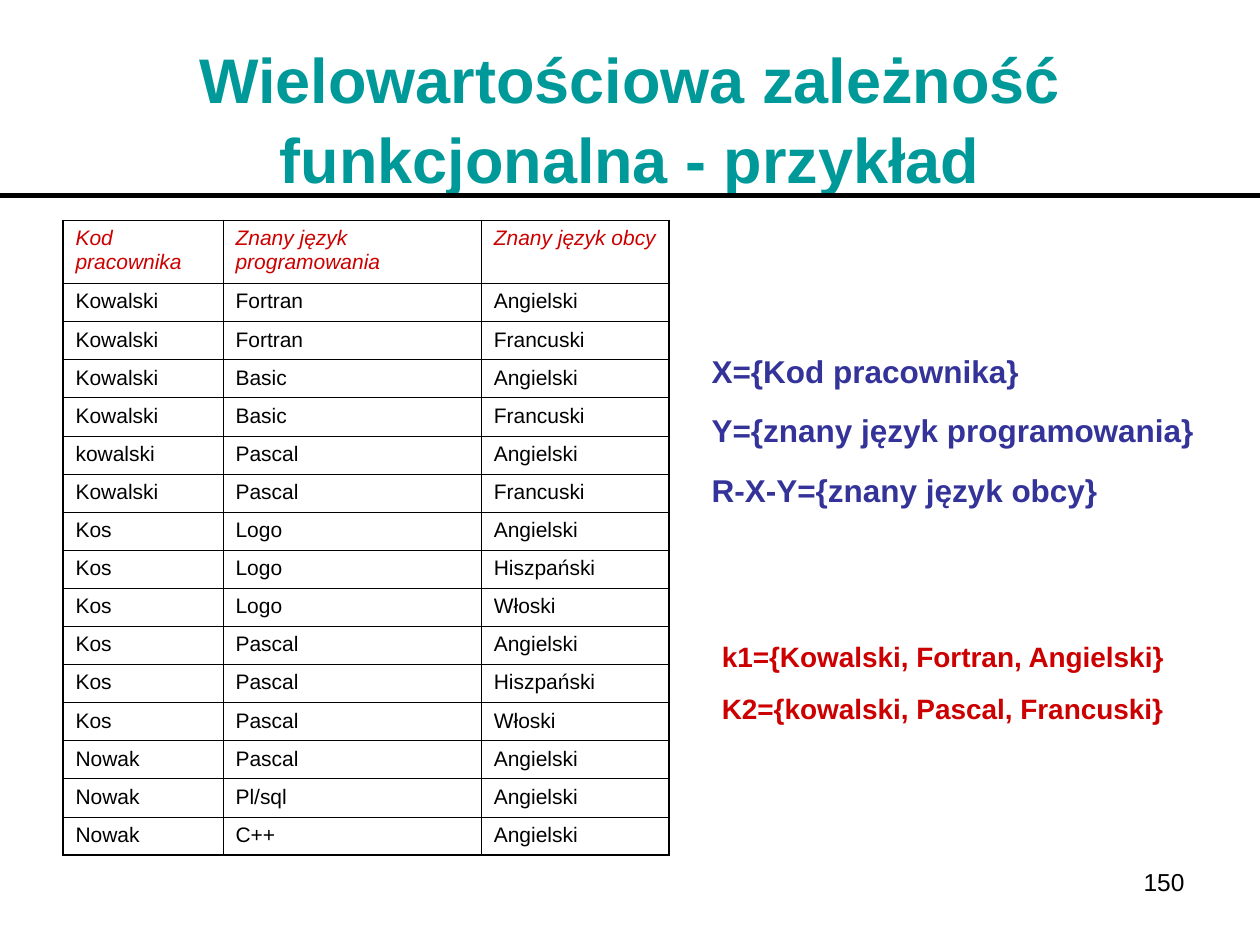
from dataclasses import dataclass

from lxml import etree
from pptx import Presentation
from pptx.dml.color import RGBColor
from pptx.enum.shapes import MSO_CONNECTOR
from pptx.enum.text import MSO_ANCHOR, PP_ALIGN
from pptx.oxml.ns import qn
from pptx.util import Inches, Pt

LEFT, CENTER, RIGHT = PP_ALIGN.LEFT, PP_ALIGN.CENTER, PP_ALIGN.RIGHT
TOP, MIDDLE = MSO_ANCHOR.TOP, MSO_ANCHOR.MIDDLE
STRAIGHT = MSO_CONNECTOR.STRAIGHT

TEAL = RGBColor(0x00, 0x99, 0x99)
RED = RGBColor(0xCC, 0x00, 0x00)
INDIGO = RGBColor(0x33, 0x33, 0x99)
BLACK = RGBColor(0x00, 0x00, 0x00)

FONT = "Arial"
OUTER, INNER = 1.08, 0.45  # table border widths in points


@dataclass
class TextBlock:
    left: float
    top: float
    width: float
    height: float
    lines: list[str]
    size: float
    color: RGBColor
    bold: bool = True
    align: PP_ALIGN = LEFT
    anchor: MSO_ANCHOR = TOP
    gap: float = 0
    spacing: float = 1.05


TITLE = TextBlock(0.5, 0.3, 9, 1.25,
                  ["Wielowartościowa zależność funkcjonalna - przykład"],
                  36, TEAL, align=CENTER, anchor=MIDDLE)
ATTRIBUTE_SETS = TextBlock(5.55, 2.73, 4.17, 1.32,
                           ["X={Kod pracownika}",
                            "Y={znany język programowania}",
                            "R-X-Y={znany język obcy}"],
                           18, INDIGO, gap=11.2)
TUPLES = TextBlock(5.63, 5.01, 4.02, 0.77,
                   ["k1={Kowalski, Fortran, Angielski}",
                    "K2={kowalski, Pascal, Francuski}"],
                   16, RED, gap=10)
PAGE_NUMBER = TextBlock(7.17, 6.83, 2.33, 0.52, ["150"], 14, BLACK,
                        bold=False, align=RIGHT, spacing=1)

COLUMN_WIDTHS = [1.27, 2.05, 1.49]
HEADER_HEIGHT, TABLE_HEIGHT = 0.5, 5.04
ROWS = [
    ("Kod pracownika", "Znany język programowania", "Znany język obcy"),
    ("Kowalski", "Fortran", "Angielski"),
    ("Kowalski", "Fortran", "Francuski"),
    ("Kowalski", "Basic", "Angielski"),
    ("Kowalski", "Basic", "Francuski"),
    ("kowalski", "Pascal", "Angielski"),
    ("Kowalski", "Pascal", "Francuski"),
    ("Kos", "Logo", "Angielski"),
    ("Kos", "Logo", "Hiszpański"),
    ("Kos", "Logo", "Włoski"),
    ("Kos", "Pascal", "Angielski"),
    ("Kos", "Pascal", "Hiszpański"),
    ("Kos", "Pascal", "Włoski"),
    ("Nowak", "Pascal", "Angielski"),
    ("Nowak", "Pl/sql", "Angielski"),
    ("Nowak", "C++", "Angielski"),
]


def add_run(p, text: str, size: float, color: RGBColor,
            bold: bool = False, italic: bool = False) -> None:
    r = p.add_run()
    r.text = text
    r.font.name = FONT
    r.font.size = Pt(size)
    r.font.bold = bold
    r.font.italic = italic
    r.font.color.rgb = color


def add_text(slide, block: TextBlock) -> None:
    sp = slide.shapes.add_textbox(Inches(block.left), Inches(block.top),
                                  Inches(block.width), Inches(block.height))
    tf = sp.text_frame
    tf.word_wrap = True
    tf.vertical_anchor = block.anchor
    for i, line in enumerate(block.lines):
        p = tf.paragraphs[0] if i == 0 else tf.add_paragraph()
        p.alignment = block.align
        p.line_spacing = block.spacing
        if i:
            p.space_before = Pt(block.gap)
        add_run(p, line, block.size, block.color, block.bold)


def add_rule(slide) -> None:
    line = slide.shapes.add_connector(STRAIGHT, 0, Inches(1.55),
                                      Inches(10), Inches(1.55))
    line.line.color.rgb = BLACK
    line.line.width = Pt(3)
    etree.SubElement(line._element.spPr, qn("a:effectLst"))


def set_borders(cell, widths: dict[str, float]) -> None:
    tc_pr = cell._tc.get_or_add_tcPr()
    for side, width in widths.items():
        ln = etree.SubElement(tc_pr, qn(f"a:{side}"), w=str(int(Pt(width))))
        fill = etree.SubElement(ln, qn("a:solidFill"))
        etree.SubElement(fill, qn("a:srgbClr"), val=str(BLACK))


def add_language_table(slide) -> None:
    last_row, last_col = len(ROWS) - 1, len(COLUMN_WIDTHS) - 1
    table = slide.shapes.add_table(
        len(ROWS), len(COLUMN_WIDTHS), Inches(0.5), Inches(1.75),
        Inches(sum(COLUMN_WIDTHS)), Inches(TABLE_HEIGHT)).table
    table.first_row = table.horz_banding = False
    for column, width in zip(table.columns, COLUMN_WIDTHS):
        column.width = Inches(width)

    body_height = (TABLE_HEIGHT - HEADER_HEIGHT) / last_row
    for i, values in enumerate(ROWS):
        header = i == 0
        table.rows[i].height = Inches(HEADER_HEIGHT if header else body_height)
        for j, value in enumerate(values):
            cell = table.cell(i, j)
            set_borders(cell, {
                "lnL": OUTER if j == 0 else INNER,
                "lnR": OUTER if j == last_col else INNER,
                "lnT": OUTER if header else INNER,
                "lnB": OUTER if i == last_row else INNER,
            })
            cell.fill.background()
            add_run(cell.text_frame.paragraphs[0], value, 12,
                    RED if header else BLACK, italic=header)


def main() -> None:
    prs = Presentation()
    prs.slide_width, prs.slide_height = Inches(10), Inches(7.5)
    slide = prs.slides.add_slide(prs.slide_layouts[6])

    # Heading
    add_text(slide, TITLE)
    add_rule(slide)

    # Example relation
    add_language_table(slide)

    # Attribute sets, sample tuples and page number
    for block in (ATTRIBUTE_SETS, TUPLES, PAGE_NUMBER):
        add_text(slide, block)

    prs.save("out.pptx")


if __name__ == "__main__":
    main()
